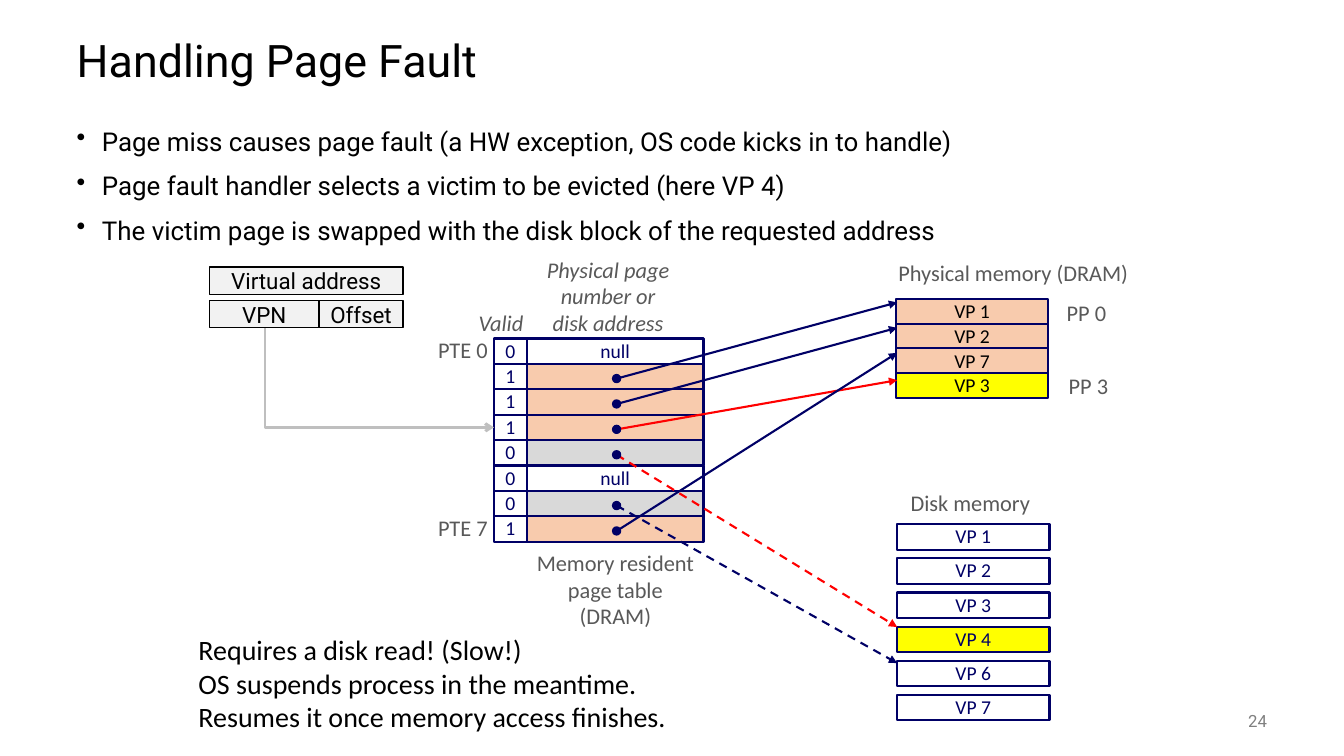
from lxml.etree import SubElement
from pptx import Presentation
from pptx.dml.color import RGBColor
from pptx.enum.dml import MSO_LINE as Dash
from pptx.enum.shapes import MSO_CONNECTOR as Link, MSO_SHAPE as Preset
from pptx.enum.text import MSO_ANCHOR as Anchor, PP_ALIGN as Align
from pptx.oxml.ns import qn
from pptx.util import Cm, Pt

NAVY, RED, GRAY, BLACK = "000066", "FF0000", "595959", "000000"
WHITE, PEACH, YELLOW, SILVER = "FFFFFF", "F8CBAD", "FFFF00", "D9D9D9"

TITLE = {"name": "Roboto", "size": Pt(32)}
BULLET = {"name": "Roboto", "size": Pt(18.5)}
FIELD = {"name": "Roboto", "size": Pt(16)}
NUMBER = {"name": "Roboto", "size": Pt(12)}
CELL = {"name": "Calibri", "size": Pt(14)}
CAPTION = {"name": "Calibri", "size": Pt(16)}
HEADING = {**CAPTION, "italic": True}
REMARK = {"name": "Calibri", "size": Pt(20)}
TIGHT = {"margin_left": 0, "margin_right": 0, "margin_top": 0, "margin_bottom": 0}

ROW = 0.64
TABLE_TOP, VALID_LEFT, ENTRY_LEFT = 8.53, 12.45, 13.28
ENTRY_WIDTH = 4.45
DOT_X, DOT = 15.54, 0.2
PAGE_WIDTH, ARROW_END = 3.84, 22.61

BULLETS = [
    "Page miss causes page fault (a HW exception, OS code kicks in to handle)",
    "Page fault handler selects a victim to be evicted (here VP 4)",
    "The victim page is swapped with the disk block of the requested address",
]
PAGE_TABLE = [
    ("0", "null", WHITE, None),
    ("1", "", PEACH, (7.62, NAVY, None)),
    ("1", "", PEACH, (8.26, NAVY, None)),
    ("1", "", PEACH, (9.58, RED, None)),
    ("0", "", SILVER, (15.8, RED, Dash.DASH)),
    ("0", "null", WHITE, None),
    ("0", "", SILVER, (16.71, NAVY, Dash.DASH)),
    ("1", "", PEACH, (8.89, NAVY, None)),
]
DRAM = [("VP 1", PEACH), ("VP 2", PEACH), ("VP 7", PEACH), ("VP 3", YELLOW)]
DISK = [("VP 1", WHITE), ("VP 2", WHITE), ("VP 3", WHITE),
        ("VP 4", YELLOW), ("VP 6", WHITE), ("VP 7", WHITE)]
CAPTIONS = [
    ((11.81, 7.7, 2.2, 0.93), ["Valid"], HEADING, Align.LEFT),
    ((13.2, 6.35, 4.25, 2.26), ["Physical page", "number or", "disk address"],
     HEADING, Align.CENTER),
    ((9.5, 8.36, 3.04, 0.93), ["PTE 0"], CAPTION, Align.RIGHT),
    ((9.5, 12.86, 3.04, 0.93), ["PTE 7"], CAPTION, Align.RIGHT),
    ((13.16, 13.74, 4.7, 2.26), ["Memory resident", "page table", "(DRAM)"],
     CAPTION, Align.CENTER),
    ((26.13, 7.44, 2.5, 0.93), ["PP 0"], CAPTION, Align.CENTER),
    ((26.18, 9.27, 2.5, 0.93), ["PP 3"], CAPTION, Align.CENTER),
    ((21.74, 6.43, 7.59, 0.93), ["Physical memory (DRAM)"], CAPTION, Align.CENTER),
    ((22.4, 12.22, 4.11, 0.93), ["Disk memory"], CAPTION, Align.CENTER),
]


def color(hex_code):
    return RGBColor.from_string(hex_code)


def cm(lengths):
    return [Cm(length) for length in lengths]


def apply(target, values):
    for key, value in values.items():
        setattr(target, key, value)


def write(frame, lines, style, ink, align, spacing=1.0, anchor=Anchor.MIDDLE):
    apply(frame, {"word_wrap": True, "vertical_anchor": anchor})
    for index, line in enumerate(lines):
        paragraph = frame.add_paragraph() if index else frame.paragraphs[0]
        paragraph.text = line
        apply(paragraph, {"alignment": align, "line_spacing": spacing})
        apply(paragraph.font, style)
        paragraph.font.color.rgb = color(ink)


def add_text(slide, area, *text, **options):
    frame = slide.shapes.add_textbox(*cm(area)).text_frame
    write(frame, *text, **options)
    return frame


def add_block(slide, area, fill, edge=NAVY, weight=1.5, preset=Preset.RECTANGLE):
    block = slide.shapes.add_shape(preset, *cm(area))
    block.shadow.inherit = False
    block.fill.solid()
    block.fill.fore_color.rgb = color(fill)
    block.line.color.rgb = color(edge)
    block.line.width = Pt(weight)
    return block


def add_cell(slide, area, label, fill, ink=NAVY):
    cell = add_block(slide, area, fill)
    if label:
        apply(cell.text_frame, TIGHT)
        write(cell.text_frame, [label], CELL, ink, Align.CENTER, 0.98)


def add_field(slide, area, label):
    field = add_block(slide, area, "F2F2F2", BLACK, 1)
    apply(field.text_frame, TIGHT)
    write(field.text_frame, [label], FIELD, BLACK, Align.CENTER)


def add_arrow(slide, ends, ink, weight, head, dash=None, kind=Link.STRAIGHT):
    arrow = slide.shapes.add_connector(kind, *cm(ends))
    arrow.line.color.rgb = color(ink)
    arrow.line.width = Pt(weight)
    if dash:
        arrow.line.dash_style = dash
    SubElement(arrow.line._ln, qn("a:tailEnd"), type=head)
    SubElement(arrow._element.spPr, qn("a:effectLst"))
    return arrow


def add_lookup_arrow(slide):
    lookup = add_arrow(slide, (8.31, 6.63, 10.82, 12.4), "BFBFBF", 2, "arrow",
                       kind=Link.ELBOW)
    properties = lookup._element.spPr
    properties.find(qn("a:prstGeom")).set("prst", "bentConnector2")
    properties.xfrm.set("rot", "16200000")
    properties.xfrm.set("flipH", "1")


def add_bullets(slide):
    frame = add_text(slide, (1.68, 3.18, 30.48, 3.4), BULLETS, BULLET, BLACK,
                     Align.LEFT, spacing=0.8, anchor=Anchor.TOP)
    for index, paragraph in enumerate(frame.paragraphs):
        paragraph.space_before = Pt(14 if index else 0)
        properties = paragraph._p.get_or_add_pPr()
        apply_indent = {"marL": Cm(0.64), "indent": -Cm(0.64)}
        for key, value in apply_indent.items():
            properties.set(key, str(value))
        bullet = properties.makeelement(qn("a:buChar"), {"char": "•"})
        properties.find(qn("a:defRPr")).addprevious(bullet)


def add_page_table(slide):
    tops = [TABLE_TOP + ROW * row for row in range(len(PAGE_TABLE))]
    for top, (valid, entry, fill, _) in zip(tops, PAGE_TABLE):
        add_cell(slide, (ENTRY_LEFT, top, ENTRY_WIDTH, ROW), entry, fill)
        add_cell(slide, (VALID_LEFT, top, ENTRY_LEFT - VALID_LEFT, ROW), valid, WHITE)
    for top, (_, _, _, pointer) in zip(tops, PAGE_TABLE):
        if pointer:
            target, ink, dash = pointer
            middle = top + ROW / 2 + 0.05
            add_arrow(slide, (DOT_X, middle, ARROW_END, target), ink, 1.5,
                      "triangle", dash)
            add_block(slide, (DOT_X - DOT / 2, middle - DOT / 2, DOT, DOT),
                      NAVY, weight=1, preset=Preset.OVAL)


def add_pages(slide, pages, left, top, pitch, ink):
    for index, (page, fill) in enumerate(pages):
        add_cell(slide, (left, top + pitch * index, PAGE_WIDTH, ROW), page, fill, ink)


def main():
    deck = Presentation()
    apply(deck, {"slide_width": Cm(33.87), "slide_height": Cm(19.05)})
    slide = deck.slides.add_slide(deck.slide_layouts[5])
    title = slide.shapes.title
    apply(title, dict(zip(("left", "top", "width", "height"),
                          cm((1.68, 0.64, 30.48, 1.91)))))
    write(title.text_frame, ["Handling Page Fault"], TITLE, BLACK, Align.LEFT, 0.9)

    add_bullets(slide)
    add_pages(slide, DRAM, 22.58, 7.54, 0.62, BLACK)
    add_pages(slide, DISK, 22.61, 13.21, 0.86, NAVY)
    add_page_table(slide)
    for area, lines, style, align in CAPTIONS:
        add_text(slide, area, lines, style, GRAY, align, 0.98)
    add_lookup_arrow(slide)
    add_field(slide, (5.28, 6.73, 4.88, 0.69), "Virtual address")
    add_field(slide, (5.28, 7.57, 2.76, 0.69), "VPN")
    add_field(slide, (8.04, 7.57, 2.12, 0.69), "Offset")
    add_text(slide, (4.75, 15.82, 13, 2.82),
             ["Requires a disk read! (Slow!)",
              "OS suspends process in the meantime.",
              "Resumes it once memory access finishes."],
             REMARK, BLACK, Align.LEFT, anchor=Anchor.TOP)
    add_text(slide, (29.64, 17.65, 2.54, 1.02), ["24"], NUMBER, "808080", Align.RIGHT)
    deck.save("out.pptx")


if __name__ == "__main__":
    main()
